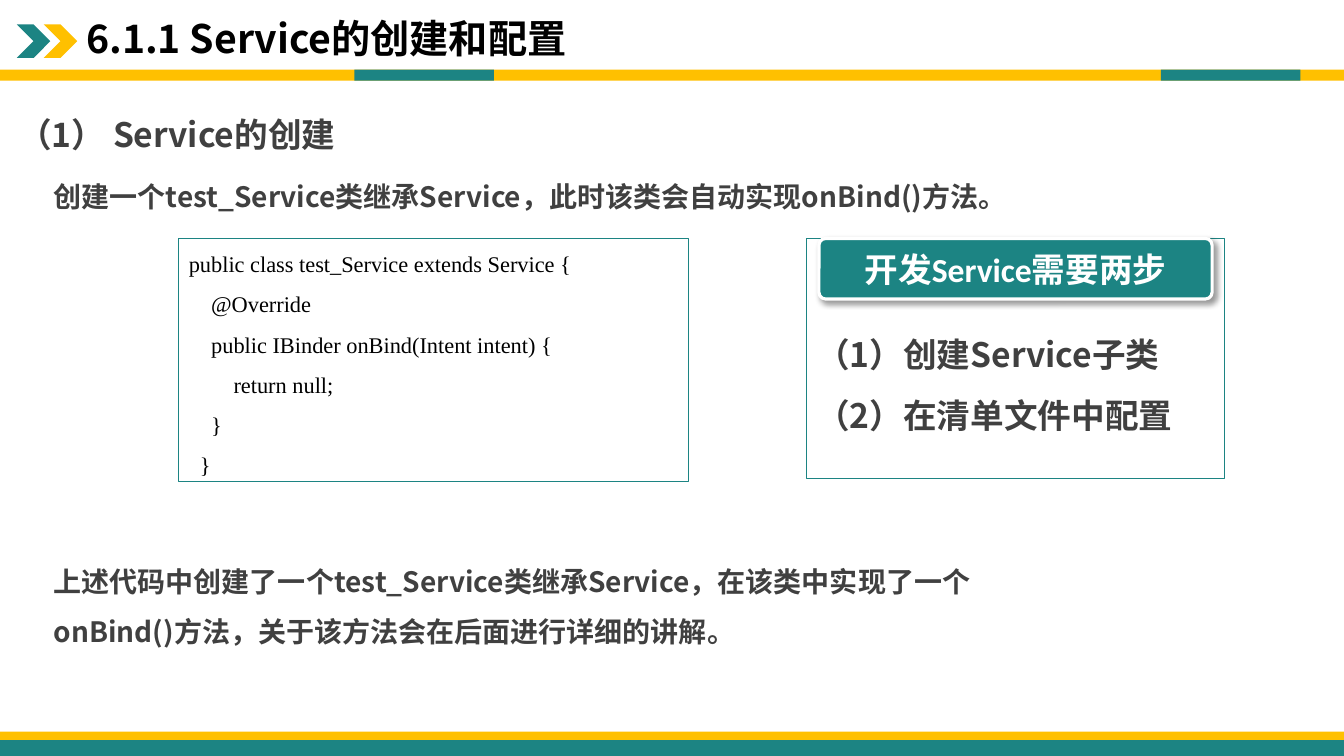
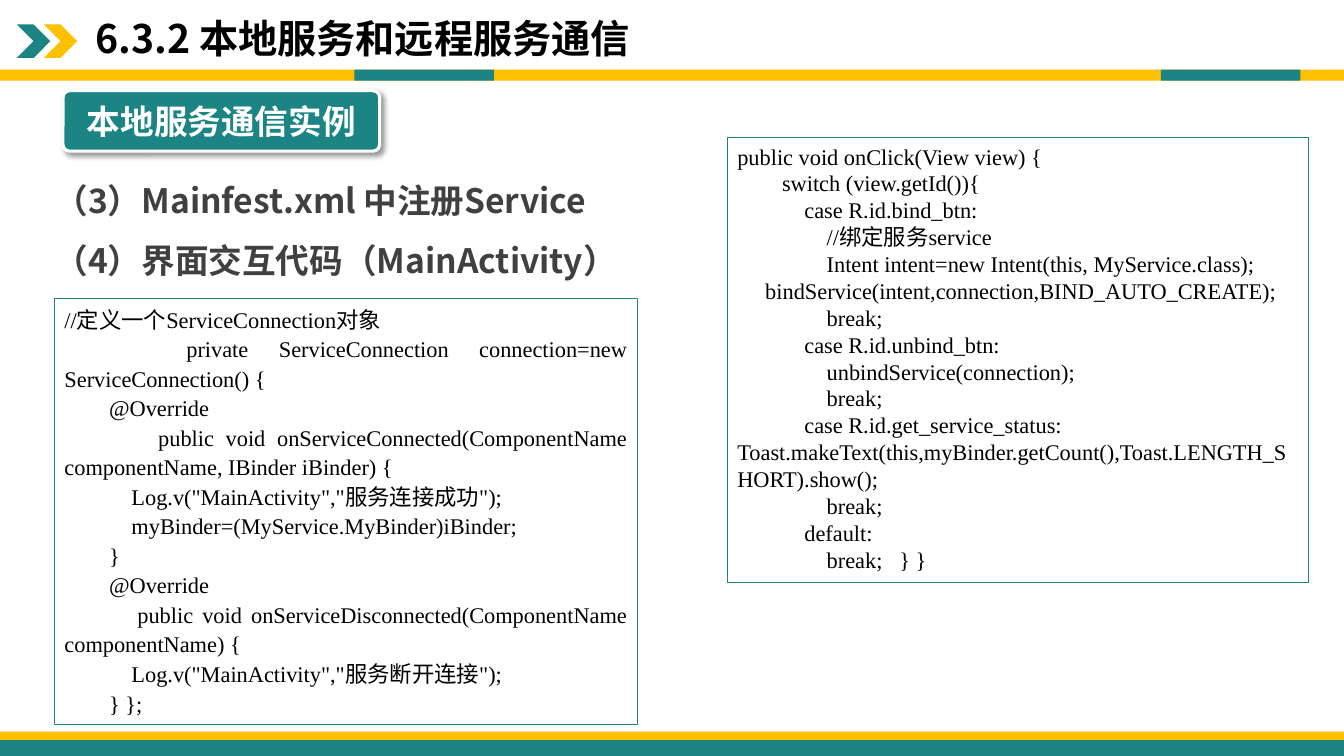
from lxml import etree
from pptx import Presentation
from pptx.dml.color import RGBColor
from pptx.enum.shapes import MSO_SHAPE
from pptx.enum.text import MSO_ANCHOR, PP_ALIGN
from pptx.oxml.ns import qn
from pptx.util import Inches, Pt

RECTANGLE = MSO_SHAPE.RECTANGLE
ROUNDED = MSO_SHAPE.ROUNDED_RECTANGLE
CHEVRON = MSO_SHAPE.CHEVRON
TOP, MIDDLE = MSO_ANCHOR.TOP, MSO_ANCHOR.MIDDLE
LEFT, CENTER, JUSTIFY = PP_ALIGN.LEFT, PP_ALIGN.CENTER, PP_ALIGN.JUSTIFY

COLUMNS, ROWS = 160, 90
TEAL, GOLD, WHITE, BLACK, GRAY = "1C8483", "FFC000", "FFFFFF", "000000", "404040"
SANS, CODE, LABEL = "Noto Sans CJK SC", "Times New Roman", "Calibri"

SERVICE_CODE = """public class test_Service extends Service {
    @Override
    public IBinder onBind(Intent intent) {
        return null;
    }
  }"""

CONNECTION_CODE = """//定义一个ServiceConnection对象
    private ServiceConnection connection=new ServiceConnection() {
        @Override
        public void onServiceConnected(ComponentName componentName, IBinder iBinder) {
            Log.v("MainActivity","服务连接成功");
            myBinder=(MyService.MyBinder)iBinder;
        }
        @Override
        public void onServiceDisconnected(ComponentName componentName) {
            Log.v("MainActivity","服务断开连接");
        } };"""

CLICK_CODE = """public void onClick(View view) {
        switch (view.getId()){
            case R.id.bind_btn:
                //绑定服务service
                Intent intent=new Intent(this, MyService.class);             bindService(intent,connection,BIND_AUTO_CREATE);
                break;
            case R.id.unbind_btn:
                unbindService(connection);
                break;
            case R.id.get_service_status: Toast.makeText(this,myBinder.getCount(),Toast.LENGTH_SHORT).show();
                break;
            default:
                break;   } }"""


def color(value):
    return RGBColor.from_string(value)


class Deck:
    """Hold the lesson style and the current slide, on a grid of 160 by 90 cells."""

    def __init__(self):
        self.presentation = Presentation()
        self.presentation.slide_width = Inches(13.33)
        self.presentation.slide_height = Inches(7.5)
        self.slide = None

    def box(self, left, top, width, height):
        column = self.presentation.slide_width / COLUMNS
        row = self.presentation.slide_height / ROWS
        return (round(left * column), round(top * row),
                round(width * column), round(height * row))

    def new_slide(self, title, indent=0):
        layout = self.presentation.slide_layouts[6]
        self.slide = self.presentation.slides.add_slide(layout)
        self.shape((0, 8.3, COLUMNS, 1.3), GOLD)
        for left in (42.2, 138.2):
            self.shape((left, 8.3, 16.6, 1.3), TEAL)
        for left, fill in ((2, TEAL), (5.2, GOLD)):
            self.shape((left, 2.9, 4, 4), fill, CHEVRON)
        self.shape((0, 87.1, COLUMNS, 1.9), GOLD)
        self.shape((0, 88.1, COLUMNS, 1.9), TEAL)
        self.text((9.1 + indent, -0.8, 120, 11.4), title, 28,
                  text_color=BLACK, spacing=0.9, anchor=MIDDLE)

    def shape(self, place, fill, kind=RECTANGLE, line=None, line_width=0.75):
        shape = self.slide.shapes.add_shape(kind, *self.box(*place))
        shape.shadow.inherit = False
        shape.fill.solid()
        shape.fill.fore_color.rgb = color(fill)
        if line:
            shape.line.color.rgb = color(line)
            shape.line.width = Pt(line_width)
        else:
            shape.line.fill.background()
        return shape

    def fill_text(self, shape, text, size, font=SANS, text_color=GRAY, bold=True,
                  spacing=1.5, first_spacing=None, align=LEFT, anchor=TOP):
        frame = shape.text_frame
        frame.word_wrap = True
        frame.vertical_anchor = anchor
        for index, line in enumerate(text.split("\n")):
            paragraph = frame.paragraphs[0] if index == 0 else frame.add_paragraph()
            paragraph.add_run().text = line
            paragraph.alignment = align
            paragraph.line_spacing = spacing
            paragraph.font.size = Pt(size)
            paragraph.font.bold = bold
            paragraph.font.color.rgb = color(text_color)
            paragraph.font.name = font
            defaults = paragraph._p.pPr.find(qn("a:defRPr"))
            etree.SubElement(defaults, qn("a:ea"), typeface=SANS)
        if first_spacing:
            frame.paragraphs[0].line_spacing = first_spacing

    def text(self, place, text, size, **style):
        shape = self.slide.shapes.add_textbox(*self.box(*place))
        self.fill_text(shape, text, size, **style)

    def panel(self, place, text, size, top_inset=0.05, **style):
        shape = self.shape(place, WHITE, line=TEAL)
        shape.text_frame.margin_top = Inches(top_inset)
        self.fill_text(shape, text, size, **style)

    def code(self, place, text, **style):
        self.panel(place, text, 16, font=CODE, text_color=BLACK, bold=False, **style)

    def badge(self, place, text):
        shape = self.shape(place, TEAL, ROUNDED, WHITE, 2.25)
        shape.adjustments[0] = 0.11
        effects = shape._element.spPr.find(qn("a:effectLst"))
        shadow = etree.SubElement(
            effects, qn("a:outerShdw"), blurRad=str(Pt(4)), dist=str(Pt(3)),
            dir=str(45 * 60000), algn="tl", rotWithShape="0")
        shade = etree.SubElement(shadow, qn("a:srgbClr"), val=BLACK)
        etree.SubElement(shade, qn("a:alpha"), val="40000")
        self.fill_text(shape, text, 24, font=LABEL, text_color=WHITE,
                       spacing=1, align=CENTER, anchor=MIDDLE)


def main():
    deck = Deck()

    deck.new_slide("6.1.1 Service的创建和配置")
    deck.text((1, 10.6, 45.1, 9.5), "（1） Service的创建", 24)
    deck.text((5.2, 18.8, 135.9, 6.5),
              "创建一个test_Service类继承Service，此时该类会自动实现onBind()方法。", 20)
    deck.code((21.3, 28.4, 60.7, 28.9), SERVICE_CODE, first_spacing=1.25)
    deck.text((5.2, 64.6, 120.5, 12.6),
              "上述代码中创建了一个test_Service类继承Service，在该类中实现了一个"
              "onBind()方法，关于该方法会在后面进行详细的讲解。", 20)
    deck.panel((96, 28.4, 49.8, 28.6),
               "（1）创建Service子类\n（2）在清单文件中配置", 24, top_inset=0.75)
    deck.badge((97.5, 28.4, 46.8, 7.2), "开发Service需要两步")

    deck.new_slide("6.3.2 本地服务和远程服务通信", indent=1.1)
    deck.badge((7.5, 10.8, 37.7, 7.2), "本地服务通信实例")
    deck.text((5.3, 18.4, 79.6, 17.2),
              "（3）Mainfest.xml 中注册Service\n（4）界面交互代码（MainActivity）", 24)
    deck.code((6.5, 35.5, 69.4, 50.8), CONNECTION_CODE, spacing=1.1, align=JUSTIFY)
    deck.code((86.6, 16.4, 69.2, 52.9), CLICK_CODE, spacing=1)

    deck.presentation.save("out.pptx")


if __name__ == "__main__":
    main()
